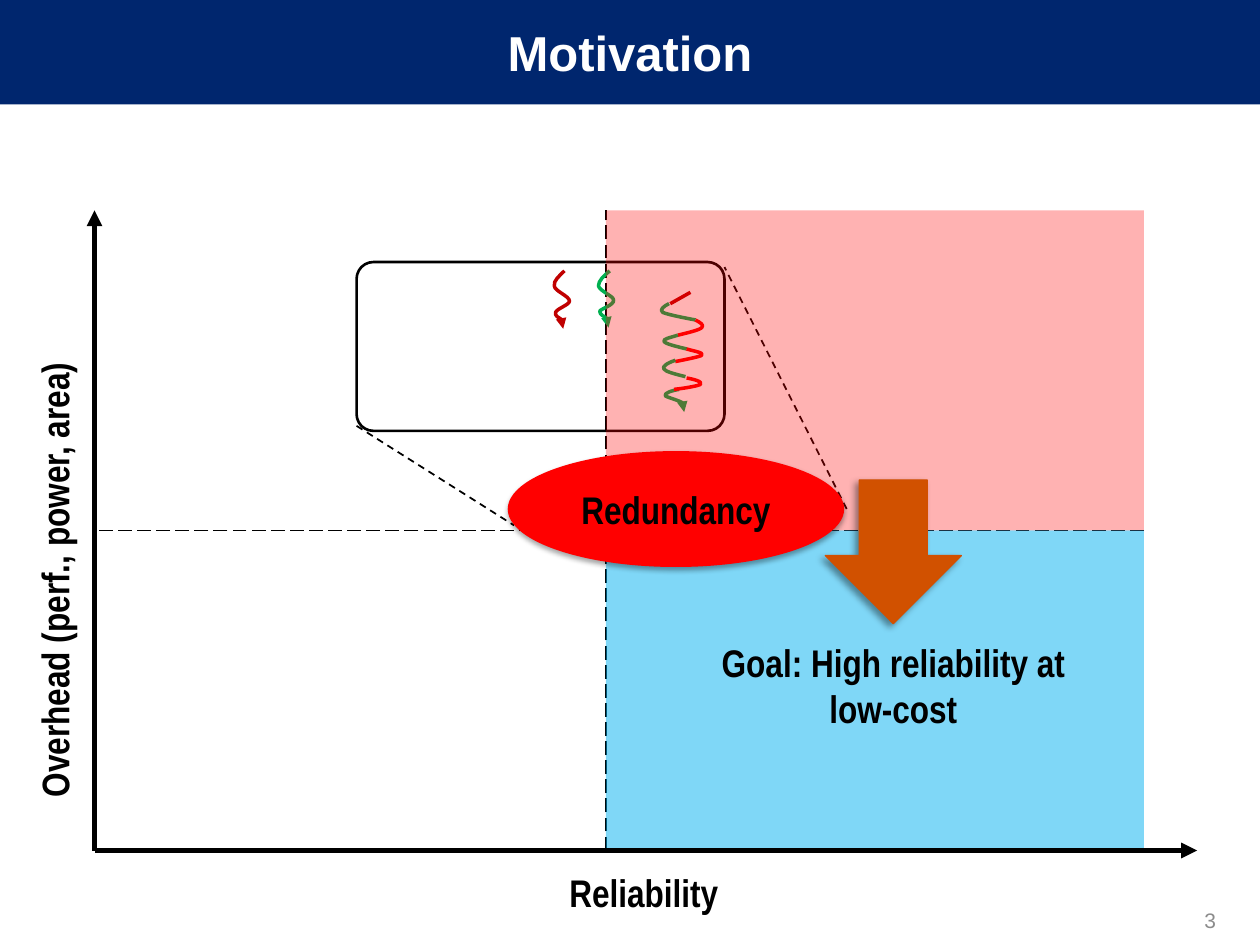
from dataclasses import dataclass

from lxml import etree
from pptx import Presentation
from pptx.dml.color import RGBColor
from pptx.enum.dml import MSO_LINE
from pptx.enum.shapes import MSO_CONNECTOR, MSO_SHAPE
from pptx.enum.text import MSO_ANCHOR, MSO_AUTO_SIZE, PP_ALIGN
from pptx.oxml.ns import qn
from pptx.util import Pt

PX = 9144
RECT, ROUND = MSO_SHAPE.RECTANGLE, MSO_SHAPE.ROUNDED_RECTANGLE
OVAL, DOWN_ARROW = MSO_SHAPE.OVAL, MSO_SHAPE.DOWN_ARROW
STRAIGHT = MSO_CONNECTOR.STRAIGHT
DASH, LONG_DASH = MSO_LINE.DASH, MSO_LINE.LONG_DASH
LEFT, CENTER, RIGHT = PP_ALIGN.LEFT, PP_ALIGN.CENTER, PP_ALIGN.RIGHT
TOP, MIDDLE = MSO_ANCHOR.TOP, MSO_ANCHOR.MIDDLE
FIT = MSO_AUTO_SIZE.SHAPE_TO_FIT_TEXT


@dataclass(frozen=True)
class Theme:
    navy: str = "00266E"
    white: str = "FFFFFF"
    black: str = "000000"
    gray: str = "8C8C8C"
    red: str = "FF0000"
    dark_red: str = "C00000"
    green: str = "00B050"
    blue: str = "00B0F0"
    orange: str = "D15100"
    orange_edge: str = "D25000"
    font: str = "Arial"
    narrow: str = "Arial Narrow"
    title: int = 28
    label: int = 22
    number: int = 12


T = Theme()

STRANDS = [
    (T.dark_red, True, [(165, 7), (161, 11), (156, 15), (157, 19), (157, 23), (169, 27), (169, 31),
                        (169, 34), (159, 37), (158, 40), (157, 43), (163, 45), (164, 47),
                        (165, 50), (165, 51), (164, 53)]),
    (T.green, True, [(201, 7), (196, 11), (192, 15), (192, 19), (193, 23), (204, 27), (204, 30),
                     (205, 34), (194, 37), (193, 39), (193, 42), (199, 44), (200, 46),
                     (201, 48), (200, 50), (200, 52)]),
    (T.dark_red, False, [(265, 24), (249, 33)]),
    (T.green, False, [(248, 33), (244, 35), (240, 38), (243, 40), (247, 42), (269, 46), (269, 46)]),
    (T.red, False, [(269, 46), (273, 48), (276, 50), (274, 52), (272, 54), (263, 56), (255, 58)]),
    (T.green, False, [(255, 58), (249, 60), (243, 61), (244, 63), (245, 65), (254, 67), (262, 69)]),
    (T.red, False, [(262, 69), (269, 71), (276, 72), (274, 74), (273, 75), (263, 77), (253, 79)]),
    (T.green, False, [(253, 78), (247, 80), (242, 83), (244, 85), (245, 87), (253, 89), (261, 91)]),
    (T.green, True, [(256, 101), (250, 102), (244, 104), (245, 106), (245, 107), (257, 110),
                     (259, 112), (262, 114), (261, 117), (260, 119)]),
    (T.red, False, [(262, 92), (268, 93), (275, 95), (273, 97), (272, 98), (262, 100), (252, 101)]),
]


def rgb(color):
    return RGBColor.from_string(color)


def set_alpha(clr, percent):
    etree.SubElement(clr, qn("a:alpha")).set("val", str(percent * 1000))


def style_line(line, color, width, dash=None, arrow=False):
    line.color.rgb = rgb(color)
    line.width = Pt(width)
    if dash:
        line.dash_style = dash
    if arrow:
        ln = line._get_or_add_ln()
        etree.SubElement(ln, qn("a:tailEnd")).set("type", "triangle")


def add_block(s, kind, box, fill=None, alpha=None, edge=None, width=1):
    sp = s.shapes.add_shape(kind, *(v * PX for v in box))
    sp.shadow.inherit = False
    if fill:
        sp.fill.solid()
        sp.fill.fore_color.rgb = rgb(fill)
    else:
        sp.fill.background()
    if alpha:
        set_alpha(sp._element.spPr.find(qn("a:solidFill"))[0], alpha)
    if edge:
        style_line(sp.line, edge, width)
    else:
        sp.line.fill.background()
    return sp


def add_shadow(sp, alpha, blur, dist, angle):
    effects = sp._element.spPr.find(qn("a:effectLst"))
    shadow = etree.SubElement(effects, qn("a:outerShdw"), blurRad=str(Pt(blur)),
                              dist=str(Pt(dist)), dir=str(angle * 60000), rotWithShape="0")
    set_alpha(etree.SubElement(shadow, qn("a:srgbClr"), val=T.black), alpha)


def add_line(s, x1, y1, x2, y2, width, dash=None, arrow=False):
    c = s.shapes.add_connector(STRAIGHT, x1 * PX, y1 * PX, x2 * PX, y2 * PX)
    style_line(c.line, T.black, width, dash, arrow)
    etree.SubElement(c._element.spPr, qn("a:effectLst"))


def add_strand(s, x, y, color, arrow, points):
    start, *rest = [(x + dx, y + dy) for dx, dy in points]
    builder = s.shapes.build_freeform(*start, scale=PX)
    builder.add_line_segments(rest, close=False)
    sp = builder.convert_to_shape()
    sp.shadow.inherit = False
    sp.fill.background()
    style_line(sp.line, color, 2, arrow=arrow)
    segments = list(sp._element.iter(qn("a:lnTo")))
    for i in range(0, len(segments) - 2, 3):
        curve = etree.Element(qn("a:cubicBezTo"))
        segments[i].addprevious(curve)
        for segment in segments[i:i + 3]:
            curve.append(segment[0])
            segment.getparent().remove(segment)


def write(sp, text, size=T.label, font=T.narrow, color=T.black, bold=True,
          align=CENTER, anchor=MIDDLE, wrap=True):
    tf = sp.text_frame
    tf.text = text
    tf.word_wrap = wrap
    tf.vertical_anchor = anchor
    p = tf.paragraphs[0]
    p.alignment = align
    f = p.runs[0].font
    f.size, f.name, f.bold = Pt(size), font, bold
    f.color.rgb = rgb(color)


def add_text(s, box, text, grow=False, **style):
    sp = s.shapes.add_textbox(*(v * PX for v in box))
    write(sp, text, **style)
    if grow:
        sp.text_frame.auto_size = FIT
    return sp


def add_title(s, box):
    add_block(s, RECT, box, T.navy)
    add_text(s, box, "Motivation", size=T.title, font=T.font, color=T.white)


def add_guides(s, box, mid_x, mid_y):
    x, y, w, h = box
    add_line(s, x + w, y + mid_y, x, y + mid_y, 1, LONG_DASH)
    add_line(s, x + mid_x, y + h, x + mid_x, y, 1, LONG_DASH)


def add_callout(s, box):
    x, y, w, h = box
    for strand in STRANDS:
        add_strand(s, x, y, *strand)
    frame = add_block(s, ROUND, box, edge=T.black, width=1.5)
    frame.adjustments[0] = 0.1
    add_line(s, x, y + h - 4, x + 125, y + h + 75, 1, DASH)
    add_line(s, x + w + 97, y + h + 62, x + w, y + 4, 1, DASH)


def add_axes(s, box):
    x, y, w, h = box
    label = dict(grow=True, align=LEFT, anchor=TOP, wrap=False)
    add_line(s, x, y + h, x, y, 3, arrow=True)
    sp = add_text(s, (x - 276, y + 208, 488, 47), "Overhead (perf., power, area)", **label)
    sp.rotation = 270
    add_line(s, x, y + h, x + w, y + h, 3, arrow=True)
    add_text(s, (x + 367, y + h + 10, 139, 47), "Reliability", **label)


def add_goal(s, box):
    x, y, w, h = box
    add_text(s, (x + 54, y + 81, 348, 84), "Goal: High reliability at low-cost",
             grow=True, anchor=TOP)
    arrow = add_block(s, DOWN_ARROW, (x + 174, y - 40, 108, 114), T.orange,
                      edge=T.orange_edge, width=0.75)
    add_shadow(arrow, 40, 4, 3, 135)


def add_redundancy(s, box):
    sp = add_block(s, OVAL, box, T.red)
    add_shadow(sp, 35, 3.1, 1.8, 90)
    write(sp, "Redundancy")


def main():
    prs = Presentation()
    prs.slide_width, prs.slide_height = 1000 * PX, 750 * PX
    s = prs.slides.add_slide(prs.slide_layouts[6])
    x, y, w, h = 75, 167, 833, 508
    mid_x, mid_y = 406, h // 2
    high = (x + mid_x, y, w - mid_x, mid_y)
    low = (x + mid_x, y + mid_y, w - mid_x, mid_y)

    add_title(s, (0, 0, 1000, 83))
    add_guides(s, (x, y, w, h), mid_x, mid_y)
    add_block(s, RECT, low, T.blue, alpha=50)
    add_callout(s, (283, 208, 292, 134))
    add_block(s, RECT, high, T.red, alpha=30)
    add_text(s, (742, 710, 233, 40), "3", size=T.number, font=T.font, color=T.gray,
             bold=False, align=RIGHT)
    add_redundancy(s, (403, 358, 267, 92))
    add_axes(s, (x, y, 875, h))
    add_goal(s, low)
    prs.save("out.pptx")


if __name__ == "__main__":
    main()
